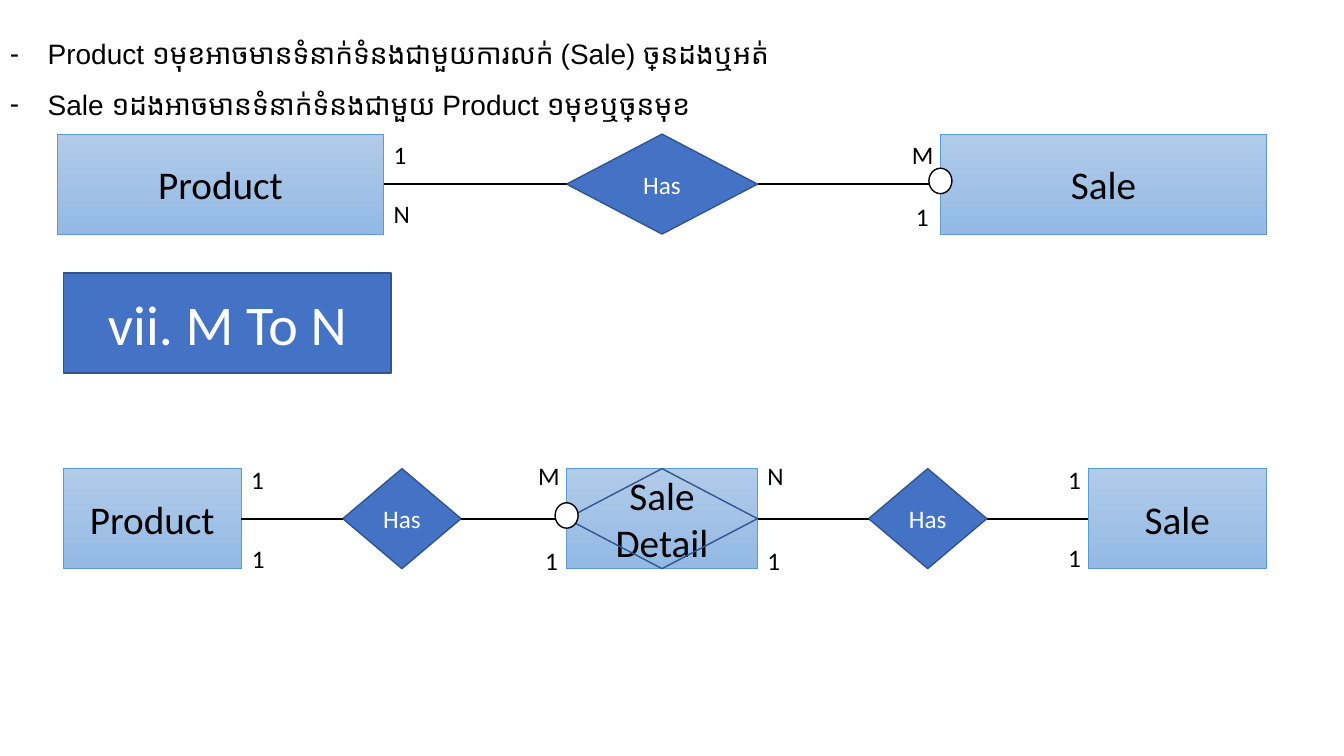
from dataclasses import dataclass
from itertools import pairwise

from lxml import etree
from pptx import Presentation
from pptx.dml.color import RGBColor
from pptx.enum.shapes import MSO_CONNECTOR, MSO_SHAPE
from pptx.enum.text import MSO_ANCHOR, PP_ALIGN
from pptx.oxml.ns import qn
from pptx.util import Cm, Pt

RECTANGLE = MSO_SHAPE.RECTANGLE
DIAMOND = MSO_SHAPE.DIAMOND
CIRCLE = MSO_SHAPE.FLOWCHART_CONNECTOR
STRAIGHT = MSO_CONNECTOR.STRAIGHT
LEFT, CENTER = PP_ALIGN.LEFT, PP_ALIGN.CENTER
TOP, MIDDLE = MSO_ANCHOR.TOP, MSO_ANCHOR.MIDDLE

BLACK = RGBColor(0x00, 0x00, 0x00)
WHITE = RGBColor(0xFF, 0xFF, 0xFF)
BLUE = RGBColor(0x44, 0x72, 0xC4)
DARK_BLUE = RGBColor(0x32, 0x54, 0x91)
ENTITY_LINE = RGBColor(0x5B, 0x9B, 0xD5)
ENTITY_TOP = RGBColor(0xB1, 0xCB, 0xE9)
ENTITY_BOTTOM = RGBColor(0x93, 0xB9, 0xE4)

NODE_HEIGHT = 2.52
OPTIONAL_WIDTH, OPTIONAL_HEIGHT = 0.58, 0.64
OPTIONAL_RISE = 0.08

RULES = [
    "Product ១មុខអាចមានទំនាក់ទំនងជាមួយការលក់ (Sale) ច្រើនដងឬអត់",
    "Sale ១ដងអាចមានទំនាក់ទំនងជាមួយ Product ១មុខឬច្រើនមុខ",
]


@dataclass(frozen=True)
class Node:
    """An entity, a relationship, or an entity that is also a relationship."""
    kind: str
    text: str
    left: float
    width: float
    optional: bool = False


@dataclass(frozen=True)
class Cardinality:
    """A cardinality mark beside a node."""
    text: str
    left: float
    top: float


@dataclass(frozen=True)
class Relation:
    """One row of the entity relationship diagram."""
    top: float
    nodes: tuple[Node, ...]
    cardinalities: tuple[Cardinality, ...]


RELATIONS = [
    Relation(3.38, (
        Node("entity", "Product", 1.45, 8.22),
        Node("relationship", "Has", 14.28, 4.81),
        Node("entity", "Sale", 23.7, 8.22, optional=True),
    ), (
        Cardinality("1", 9.67, 3.38), Cardinality("N", 9.67, 4.88),
        Cardinality("M", 22.73, 3.38), Cardinality("1", 22.83, 4.95),
    )),
    Relation(11.81, (
        Node("entity", "Product", 1.6, 4.48),
        Node("relationship", "Has", 8.64, 2.98),
        Node("associative", "Sale\nDetail", 14.28, 4.81, optional=True),
        Node("relationship", "Has", 21.89, 2.98),
        Node("entity", "Sale", 27.43, 4.48),
    ), (
        Cardinality("1", 6.08, 11.58), Cardinality("1", 6.1, 13.56),
        Cardinality("M", 13.31, 11.48), Cardinality("1", 13.49, 13.61),
        Cardinality("N", 19.09, 11.48), Cardinality("1", 19.09, 13.61),
        Cardinality("1", 26.67, 11.58), Cardinality("1", 26.67, 13.54),
    )),
]


def write(frame, text, *, size=18, color=BLACK, font="Calibri",
          align=LEFT, anchor=TOP, spacing=1.0):
    """Fill a text frame, one paragraph per line of text."""
    frame.word_wrap = True
    frame.vertical_anchor = anchor
    frame.text = text
    for paragraph in frame.paragraphs:
        paragraph.alignment = align
        paragraph.line_spacing = spacing
        paragraph.font.size = Pt(size)
        paragraph.font.name = font
        paragraph.font.color.rgb = color


def add_text(slide, text, left, top, width, height, **text_format):
    """Add a text box, measured in centimetres, and return its frame."""
    frame = slide.shapes.add_textbox(
        Cm(left), Cm(top), Cm(width), Cm(height)).text_frame
    write(frame, text, **text_format)
    return frame


def add_dashes(frame) -> None:
    """Give each paragraph a hanging dash."""
    for paragraph in frame.paragraphs:
        properties = paragraph._p.get_or_add_pPr()
        properties.set("marL", str(Cm(0.95)))
        properties.set("indent", str(-Cm(0.95)))
        etree.SubElement(properties, qn("a:buFont")).set("typeface", "Arial")
        etree.SubElement(properties, qn("a:buChar")).set("char", "-")
        # Schema order puts the default run properties last.
        properties.append(properties.find(qn("a:defRPr")))


def add_figure(slide, preset, left, top, width, height=NODE_HEIGHT, *,
               fill=None, line=DARK_BLUE, weight=1.0):
    """Add a flat outlined shape; without a fill it is see-through."""
    figure = slide.shapes.add_shape(
        preset, Cm(left), Cm(top), Cm(width), Cm(height))
    figure.shadow.inherit = False
    if fill is None:
        figure.fill.background()
    else:
        figure.fill.solid()
        figure.fill.fore_color.rgb = fill
    figure.line.color.rgb = line
    figure.line.width = Pt(weight)
    return figure


def add_node(slide, node: Node, top: float) -> None:
    """Draw a node of the diagram with its text."""
    if node.kind == "relationship":
        diamond = add_figure(slide, DIAMOND, node.left, top, node.width, fill=BLUE)
        write(diamond.text_frame, node.text, color=WHITE, align=CENTER, anchor=MIDDLE)
        return
    entity = add_figure(slide, RECTANGLE, node.left, top, node.width,
                        line=ENTITY_LINE, weight=0.5)
    entity.fill.gradient()
    entity.fill.gradient_angle = 270
    for stop, color in zip(entity.fill.gradient_stops, (ENTITY_TOP, ENTITY_BOTTOM)):
        stop.color.rgb = color
    write(entity.text_frame, node.text, size=28, align=CENTER, anchor=MIDDLE)
    if node.kind == "associative":
        add_figure(slide, DIAMOND, node.left, top, node.width)


def add_link(slide, start: float, end: float, y: float) -> None:
    """Draw a level line between two nodes."""
    link = slide.shapes.add_connector(STRAIGHT, Cm(start), Cm(y), Cm(end), Cm(y))
    link.line.color.rgb = BLACK
    link.line.width = Pt(1.5)
    etree.SubElement(link._element.spPr, qn("a:effectLst"))


def add_relation(slide, relation: Relation) -> None:
    """Draw one row: nodes, links, cardinalities and optional marks."""
    middle = relation.top + NODE_HEIGHT / 2
    for node in relation.nodes:
        add_node(slide, node, relation.top)
    for before, after in pairwise(relation.nodes):
        add_link(slide, before.left + before.width, after.left, middle)
    for mark in relation.cardinalities:
        add_text(slide, mark.text, mark.left, mark.top, 1.14, 1.02)
    for node in relation.nodes:
        if node.optional:
            add_figure(slide, CIRCLE, node.left - OPTIONAL_WIDTH / 2,
                       middle - OPTIONAL_RISE - OPTIONAL_HEIGHT / 2,
                       OPTIONAL_WIDTH, OPTIONAL_HEIGHT, fill=WHITE, line=BLACK)


presentation = Presentation()
presentation.slide_width, presentation.slide_height = Cm(33.87), Cm(19.05)
slide = presentation.slides.add_slide(presentation.slide_layouts[6])

add_dashes(add_text(slide, "\n".join(RULES), 0, 0.38, 29.03, 2.72,
                    size=20, font="Arial", spacing=1.5))
heading = add_figure(slide, RECTANGLE, 1.6, 6.88, 8.26, fill=BLUE)
write(heading.text_frame, "vii. M To N", size=40, color=WHITE,
      align=CENTER, anchor=MIDDLE)
for relation in RELATIONS:
    add_relation(slide, relation)

presentation.save("out.pptx")
